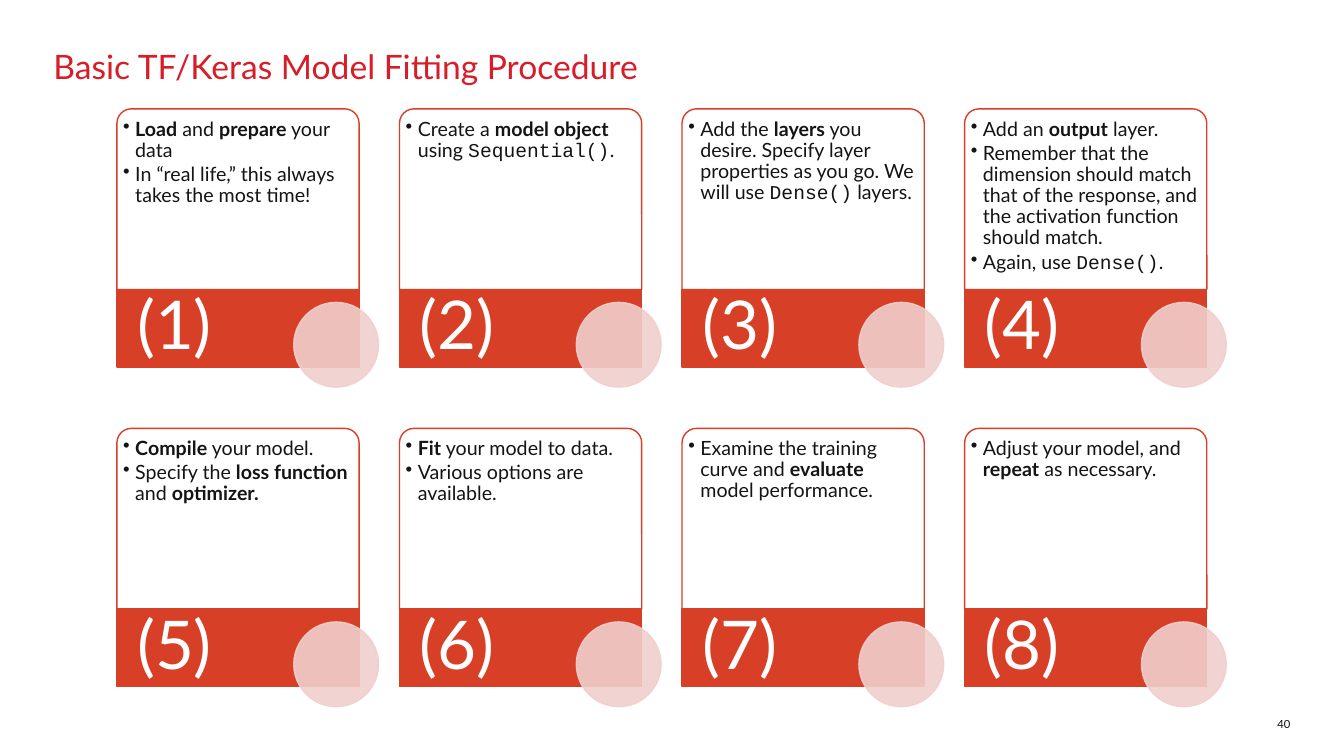
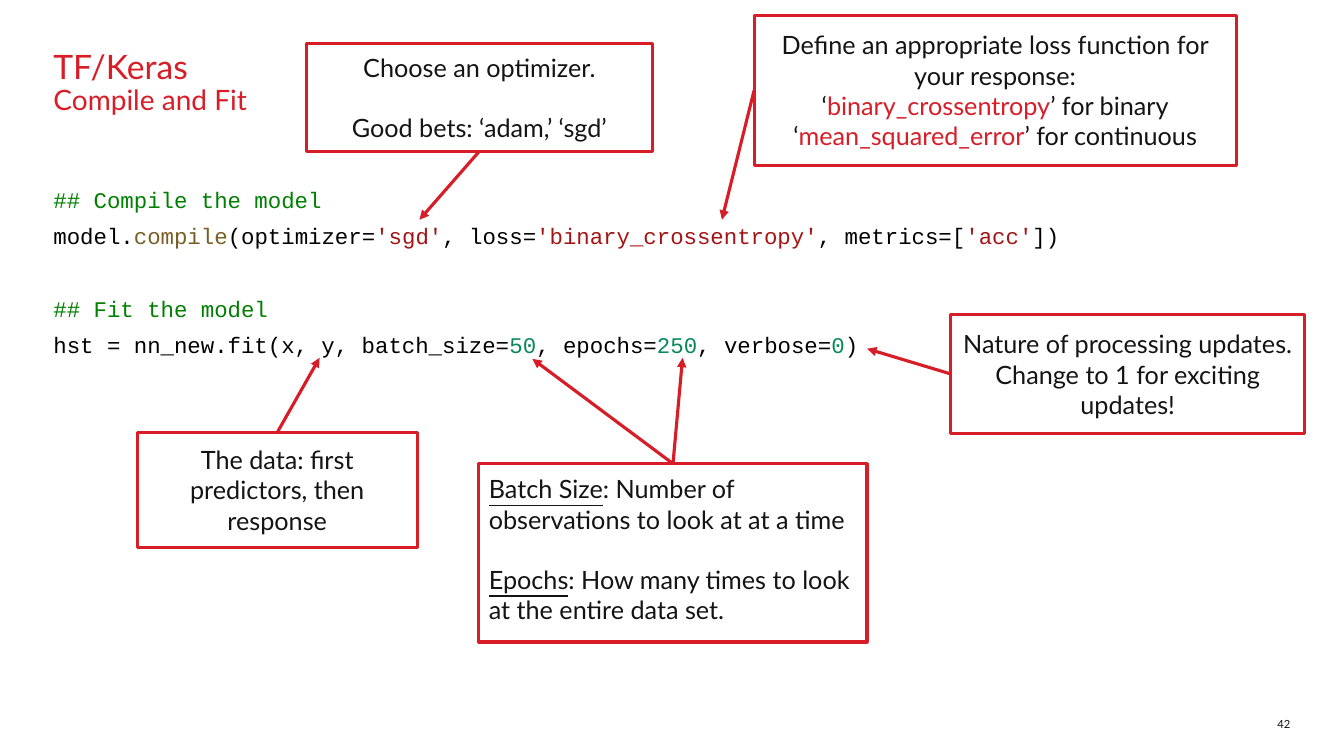
from lxml.etree import SubElement
from pptx import Presentation
from pptx.dml.color import RGBColor
from pptx.enum.shapes import MSO_CONNECTOR as CXN, MSO_SHAPE as SHP
from pptx.enum.text import MSO_ANCHOR as ANC, MSO_AUTO_SIZE as AUTO, PP_ALIGN as AL
from pptx.oxml.ns import qn
from pptx.util import Inches, Pt

COLORS = {
    "red": "D71E28", "band": "D73F26", "dot": "F0CFCD", "ink": "141414",
    "white": "FFFFFF", "black": "000000", "comment": "008000",
    "call": "795E26", "string": "A31515", "number": "09885A",
}
W, H = 13.33, 7.5
MARGIN, FULL = 0.53, 12.27
TOP, LEFT, BOTTOM = 0, 1, 2

TITLE = {"name": "Lato", "size": Pt(24), "color": "red"}
SUBTITLE = {"size": Pt(20)}
CARD = {"name": "Lato", "size": Pt(14), "color": "ink"}
STEP = {"name": "Lato", "size": Pt(48), "color": "white"}
NOTE = {"name": "Lato", "size": Pt(18), "color": "ink"}
PAGE = {"name": "Lato", "size": Pt(8), "color": "ink"}
CODE = {"name": "Courier New", "size": Pt(16), "color": "black"}
BOLD, UNDER = {"bold": True}, {"underline": True}
MONO = {"name": "Courier New"}
RED, COMMENT, CALL, STRING, NUMBER = (
    {"color": c} for c in ("red", "comment", "call", "string", "number"))

STEPS = [
    [[("Load", BOLD), " and ", ("prepare", BOLD), " your data"],
     ["In “real life,” this always takes the most time!"]],
    [["Create a ", ("model object", BOLD), " using ", ("Sequential()", MONO), "."]],
    [["Add the ", ("layers", BOLD),
      " you desire. Specify layer properties as you go. We will use ",
      ("Dense()", MONO), " layers."]],
    [["Add an ", ("output", BOLD), " layer."],
     ["Remember that the dimension should match that of the response, "
      "and the activation function should match."],
     ["Again, use ", ("Dense()", MONO), "."]],
    [[("Compile", BOLD), " your model."],
     ["Specify the", (" loss function ", BOLD), "and", (" optimizer.", BOLD)]],
    [[("Fit", BOLD), " your model to data."], ["Various options are available."]],
    [["Examine the training curve and ", ("evaluate", BOLD), " model performance."]],
    [["Adjust your model, and ", ("repeat", BOLD), " as necessary."]],
]

CODE_LINES = [
    [("## Compile the model", COMMENT)],
    ["model.", ("compile", CALL), "(optimizer=", ("'sgd'", STRING), ", loss=",
     ("'binary_crossentropy'", STRING), ", metrics=[", ("'acc'", STRING), "])"],
    [("## Fit the model", COMMENT)],
    ["hst = nn_new.fit(x, y, batch_size=", ("50", NUMBER), ", epochs=",
     ("250", NUMBER), ", verbose=", ("0", NUMBER), ")"],
]

CENTER = {"alignment": AL.CENTER}
CALLOUTS = [
    {"box": (3.04, 0.43, 3.43, 1.07), "site": BOTTOM, "tips": [(4.16, 2.18)],
     "gap": 1, "paras": [["Choose an optimizer."], ["Good bets: ‘adam,’ ‘sgd’"]]},
    {"box": (7.48, 0.15, 4.78, 1.49), "site": LEFT, "tips": [(7.16, 2.18)],
     "paras": [["Define an appropriate loss function for your response:"],
               ["‘", ("binary_crossentropy", RED), "’ for binary"],
               ["‘", ("mean_squared_error", RED), "’ for continuous"]]},
    {"box": (1.36, 4.29, 2.78, 1.14), "site": TOP, "tips": [(3.17, 3.55)],
     "paras": [["The data: first predictors, then response"]]},
    {"box": (4.75, 4.6, 3.85, 1.77), "site": TOP, "tips": [(5.28, 3.56), (6.77, 3.55)],
     "gap": 1, "fmt": {"alignment": AL.LEFT}, "anchor": ANC.TOP,
     "paras": [[("Batch Size", UNDER), ": Number of observations to look at at a time"],
               [("Epochs", UNDER), ": How many times to look at the entire data set."]]},
    {"box": (9.43, 3.12, 3.51, 1.18), "site": LEFT, "tips": [(8.6, 3.46)],
     "paras": [["Nature of processing updates. Change to 1 for exciting updates!"]]},
]


def rgb(name):
    return RGBColor.from_string(COLORS[name])


def set_font(font, values):
    for key, value in values.items():
        if key == "color":
            font.color.rgb = rgb(value)
        else:
            setattr(font, key, value)


def set_bullet(p, char=None, indent=0):
    pPr = p._p.get_or_add_pPr()
    pPr.set("marL", str(Inches(indent)))
    pPr.set("indent", str(-Inches(indent)))
    if char:
        SubElement(pPr, qn("a:buChar")).set("char", char)
    else:
        SubElement(pPr, qn("a:buNone"))


def write(tf, paras, font, fmt, insets=(0, 0, 0, 0), anchor=ANC.TOP, bullet=(None, 0)):
    tf.word_wrap = True
    tf.auto_size = AUTO.NONE
    tf.vertical_anchor = anchor
    for side, inset in zip(("left", "top", "right", "bottom"), insets):
        setattr(tf, "margin_" + side, Inches(inset))
    for i, runs in enumerate(paras):
        p = tf.add_paragraph() if i else tf.paragraphs[0]
        set_bullet(p, *bullet)
        for key, value in {"alignment": AL.LEFT, "space_before": Pt(0), **fmt}.items():
            setattr(p, key, value)
        for run in runs:
            text, extra = (run, {}) if isinstance(run, str) else run
            r = p.add_run()
            r.text = text
            set_font(r.font, {**font, **extra})


def place(sp, box):
    for key, value in zip(("left", "top", "width", "height"), box):
        setattr(sp, key, Inches(value))


def add_box(slide, kind, box, fill, line, weight=1):
    sp = slide.shapes.add_shape(kind, *map(Inches, box))
    sp.shadow.inherit = False
    if fill:
        sp.fill.solid()
        sp.fill.fore_color.rgb = rgb(fill)
    else:
        sp.fill.background()
    sp.line.color.rgb = rgb(line)
    sp.line.width = Pt(weight)
    return sp


def fade(sp, where):
    for clr in sp._element.spPr.findall(where + qn("a:solidFill") + "/" + qn("a:srgbClr")):
        SubElement(clr, qn("a:alpha")).set("val", "90000")


def add_slide(prs, layout, title, page):
    slide = prs.slides.add_slide(prs.slide_layouts[layout])
    place(slide.shapes.title, (MARGIN, 0.5, FULL, 1.1))
    write(slide.shapes.title.text_frame, title, TITLE, {"line_spacing": 0.9})
    sp = slide.shapes.add_textbox(*map(Inches, (12.27, 7, 0.53, 0.25)))
    write(sp.text_frame, [[page]], PAGE, {"alignment": AL.RIGHT}, anchor=ANC.BOTTOM)
    return slide


def add_card(slide, box, label, paras):
    x, y, w, h = box
    body = 0.7 * h
    sp = add_box(slide, SHP.ROUND_2_SAME_RECTANGLE, (x, y, w, body), "white", "band")
    sp.adjustments[0], sp.adjustments[1] = 0.08, 0
    fade(sp, "")
    write(sp.text_frame, paras, CARD, {"line_spacing": 0.9, "space_after": Pt(2.1)},
          (0.02, 0.06, 0.02, 0.02), bullet=("•", 0.12))
    sp = add_box(slide, SHP.RECTANGLE, (x, y + body, w, h - body), "band", "band")
    write(sp.text_frame, [[label]], STEP, {"line_spacing": 0.9},
          (0.2, 0, 0.07, 0), ANC.MIDDLE)
    dot = 0.35 * w
    sp = add_box(slide, SHP.OVAL, (x + 0.73 * w, y + 0.75 * h, dot, dot), "dot", "dot")
    fade(sp, ".//")


def add_cards(slide, box, cols, rows, gap_x, gap_y):
    x, y, w, h = box
    cw = (w - gap_x * (cols - 1)) / cols
    ch = (h - gap_y * (rows - 1)) / rows
    for i, paras in enumerate(STEPS):
        row, col = divmod(i, cols)
        cell = (x + col * (cw + gap_x), y + row * (ch + gap_y), cw, ch)
        add_card(slide, cell, f"({i + 1})", paras)


def add_arrow(slide, source, site, tip):
    end = [Inches(v) for v in tip]
    cxn = slide.shapes.add_connector(CXN.STRAIGHT, *end, *end)
    cxn.begin_connect(source, site)
    cxn.line.color.rgb = rgb("red")
    cxn.line.width = Pt(2.25)
    SubElement(cxn.line._get_or_add_ln(), qn("a:tailEnd")).set("type", "triangle")
    SubElement(cxn._element.spPr, qn("a:effectLst"))


def add_callout(slide, box, paras, site, tips, fmt=CENTER, anchor=ANC.MIDDLE, gap=0):
    sp = add_box(slide, SHP.RECTANGLE, box, None, "red", 2.25)
    write(sp.text_frame, paras, NOTE, fmt, (0.1,) * 4, anchor)
    if gap:
        sp.text_frame.paragraphs[1].space_before = Pt(21.6 * gap)
    for tip in tips:
        add_arrow(slide, sp, site, tip)


def add_code(slide, box):
    sp = slide.placeholders[1]
    place(sp, box)
    write(sp.text_frame, CODE_LINES, CODE, {"line_spacing": 1.36})
    sp.text_frame.paragraphs[2].space_before = Pt(25.7)


def build_procedure(prs):
    slide = add_slide(prs, 5, [["Basic TF/Keras Model Fitting Procedure"]], "40")
    add_cards(slide, (1.16, 1.08, 10.81, 5.73), 4, 2, 0.4, 0.61)


def build_compile(prs):
    slide = add_slide(prs, 1, [["TF/Keras"], [("Compile and Fit", SUBTITLE)]], "42")
    add_code(slide, (MARGIN, 1.75, FULL, 5))
    for callout in CALLOUTS:
        add_callout(slide, **callout)


def main():
    prs = Presentation()
    prs.slide_width, prs.slide_height = Inches(W), Inches(H)
    build_procedure(prs)
    build_compile(prs)
    prs.save("out.pptx")


if __name__ == "__main__":
    main()
